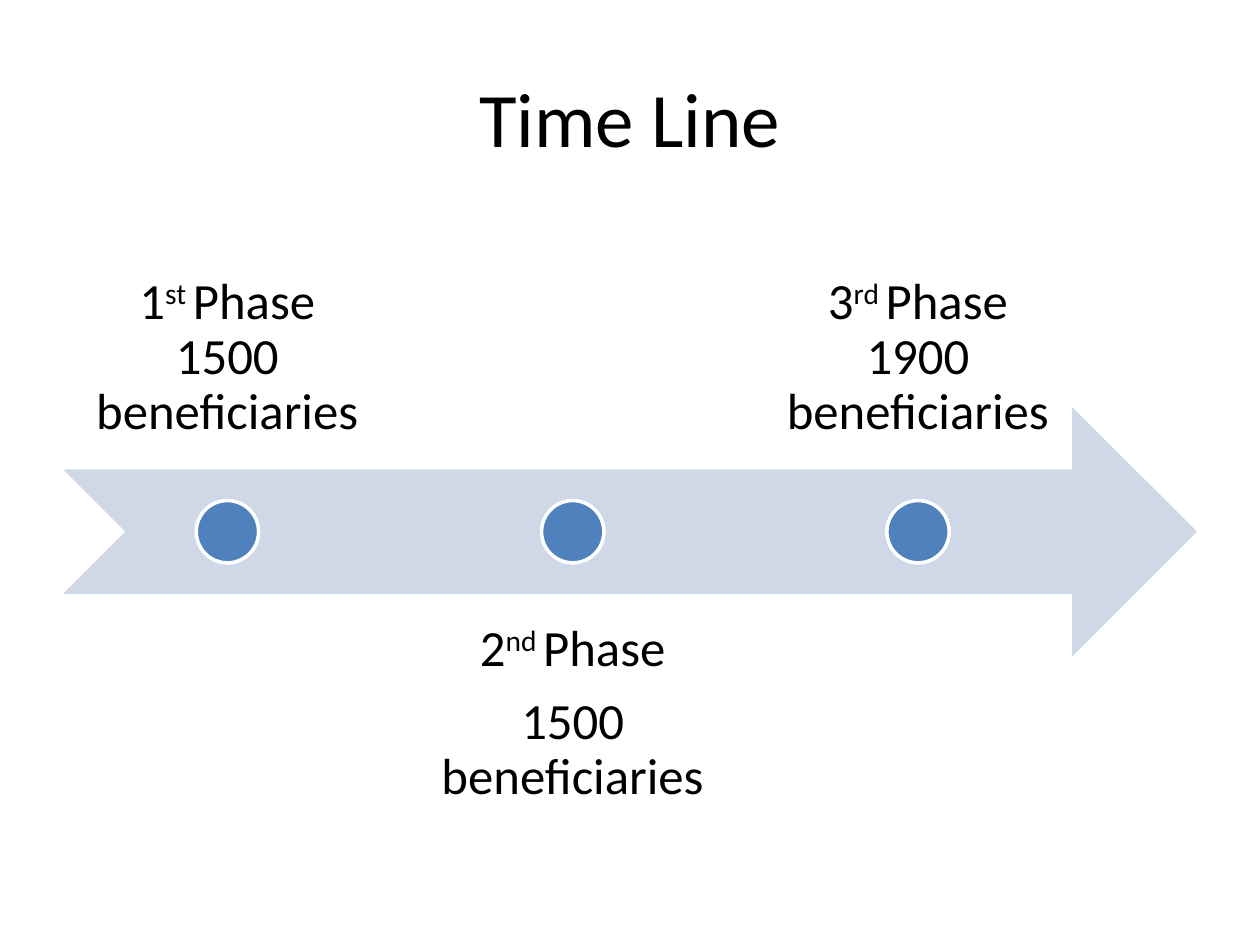
from dataclasses import dataclass
from pptx import Presentation
from pptx import util as u
from pptx.dml.color import RGBColor
from pptx.enum import shapes, text


@dataclass(frozen=True)
class Theme:
    font: str = "Calibri"
    ink: str = "000000"
    arrow: str = "D0D8E8"
    dot: str = "4F81BD"
    rim: str = "FFFFFF"
    head: float = 44
    body: float = 29
    gap: float = 10.15


@dataclass(frozen=True)
class Box:
    left: float
    top: float
    width: float
    height: float

    def place(self) -> list[int]:
        return [u.Inches(n) for n in (self.left, self.top, self.width, self.height)]


@dataclass(frozen=True)
class Phase:
    num: str
    suffix: str
    lines: tuple[str, ...]
    above: bool


THEME = Theme()
WIDE, HIGH = 10, 7.5
EDGE = WIDE * 0.05
SPAN = WIDE - 2 * EDGE
BAND = 1.98
TOP = 3.23
COL = 2.61
STEP = COL * 1.05
DOT = BAND / 4
PAD = 0.23
PHASES = (
    Phase("1", "st ", ("Phase 1500 beneficiaries",), True),
    Phase("2", "nd ", ("Phase", "1500 beneficiaries"), False),
    Phase("3", "rd ", ("Phase 1900 beneficiaries",), True),
)


def style(para, size: float) -> None:
    para.alignment = text.PP_ALIGN.CENTER
    para.font.name = THEME.font
    para.font.size = u.Pt(size)
    para.font.color.rgb = RGBColor.from_string(THEME.ink)


def add_frame(slide, box: Box, anchor, pad: float):
    frame = slide.shapes.add_textbox(*box.place()).text_frame
    frame.word_wrap = True
    frame.vertical_anchor = anchor
    frame.margin_left = frame.margin_right = u.Inches(pad)
    frame.margin_top = frame.margin_bottom = u.Inches(pad)
    return frame


def add_form(slide, kind, box: Box, fill: str):
    form = slide.shapes.add_shape(kind, *box.place())
    form.shadow.inherit = False
    form.fill.solid()
    form.fill.fore_color.rgb = RGBColor.from_string(fill)
    form.line.fill.background()
    return form


def add_title(slide, words: str) -> None:
    box = Box(EDGE, HIGH * 0.04, SPAN, HIGH / 6)
    para = add_frame(slide, box, text.MSO_ANCHOR.MIDDLE, 0.05).paragraphs[0]
    para.text = words
    style(para, THEME.head)


def add_phase(slide, col: int, phase: Phase) -> None:
    left = EDGE + col * STEP
    top = TOP - 0.75 * BAND if phase.above else TOP + 0.75 * BAND
    anchor = text.MSO_ANCHOR.BOTTOM if phase.above else text.MSO_ANCHOR.TOP
    frame = add_frame(slide, Box(left, top, COL, BAND), anchor, PAD)
    first = frame.paragraphs[0]
    first.add_run().text = phase.num
    mark = first.add_run()
    mark.text = phase.suffix
    mark.font._element.set("baseline", "30000")
    first.add_run().text = phase.lines[0]
    for line in phase.lines[1:]:
        frame.add_paragraph().text = line
    for para in frame.paragraphs:
        style(para, THEME.body)
        para.line_spacing = 0.9
    for para in frame.paragraphs[:-1]:
        para.space_after = u.Pt(THEME.gap)

    spot = Box(left + (COL - DOT) / 2, TOP + (BAND - DOT) / 2, DOT, DOT)
    dot = add_form(slide, shapes.MSO_SHAPE.OVAL, spot, THEME.dot)
    dot.line.color.rgb = RGBColor.from_string(THEME.rim)
    dot.line.width = u.Pt(2)


def main() -> None:
    deck = Presentation()
    deck.slide_width, deck.slide_height = u.Inches(WIDE), u.Inches(HIGH)
    slide = deck.slides.add_slide(deck.slide_layouts[6])
    add_title(slide, "Time Line")
    add_form(slide, shapes.MSO_SHAPE.NOTCHED_RIGHT_ARROW,
             Box(EDGE, TOP, SPAN, BAND), THEME.arrow)
    for col, phase in enumerate(PHASES):
        add_phase(slide, col, phase)
    deck.save("out.pptx")


if __name__ == "__main__":
    main()
